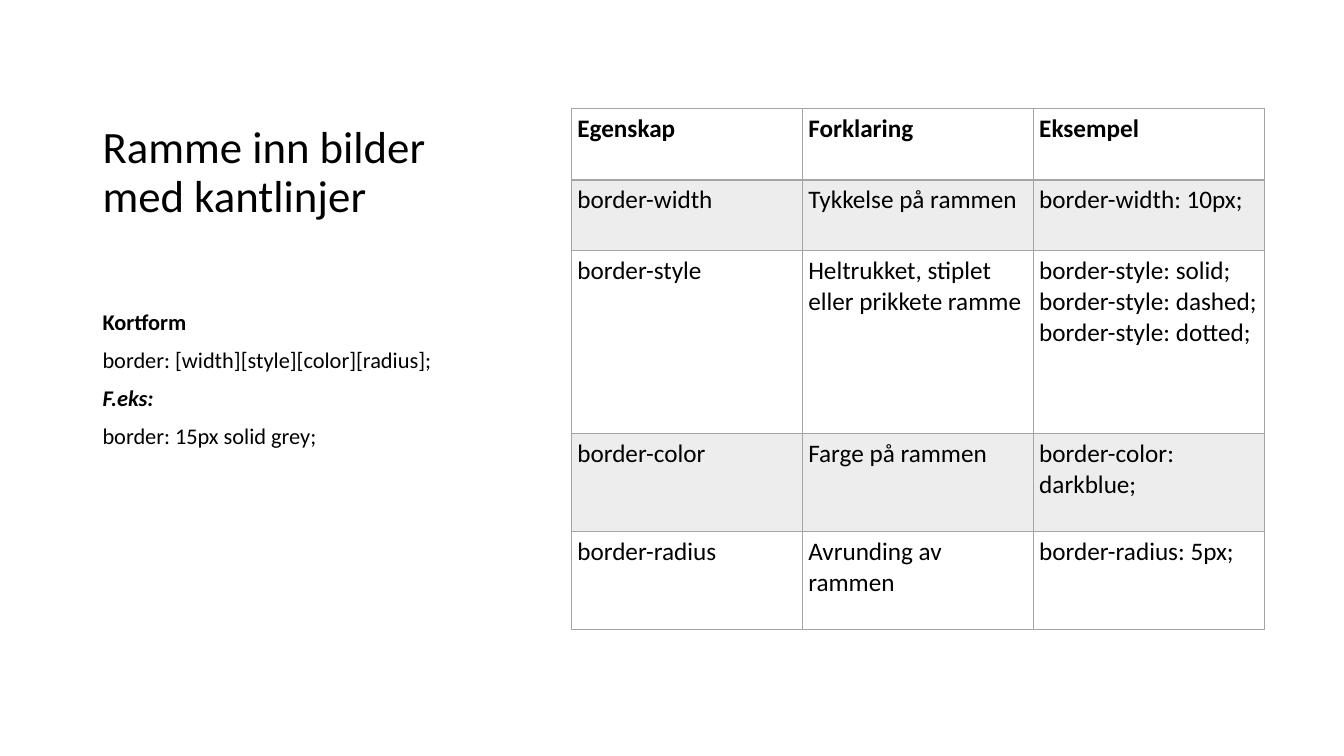
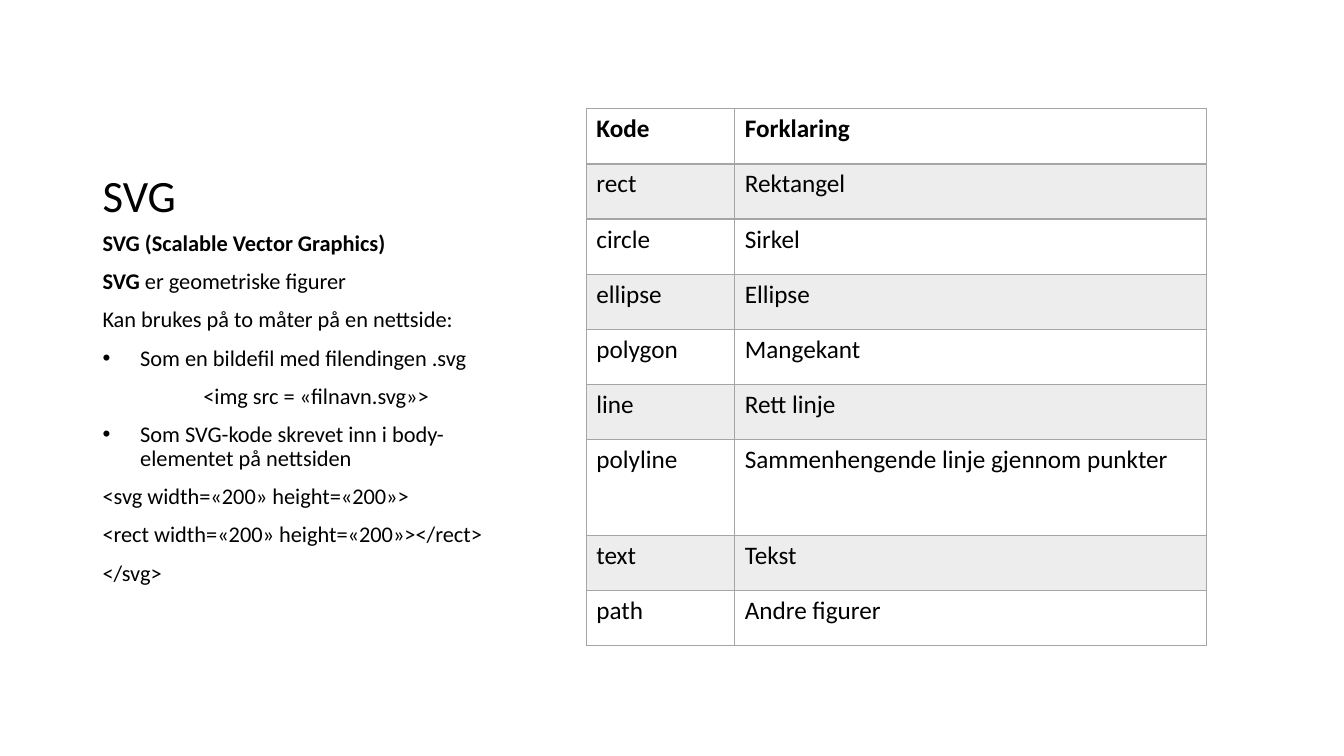
from lxml import etree
from pptx import Presentation
from pptx import util as u
from pptx.dml.color import RGBColor
from pptx.enum import text
from pptx.oxml.ns import qn

FONT = "Calibri"
BLACK, WHITE, GREY, BAND = "000000", "FFFFFF", "A5A5A5", "EDEDED"
TITLE_SIZE, BODY_SIZE, TABLE_SIZE = 32, 16, 18


def colour(value):
    """Turn a hex string into a colour."""
    return RGBColor.from_string(value)


def write(paragraph, runs, size):
    """Add (words, style) runs; the style may hold b for bold and i for italic."""
    for words, style in runs:
        run = paragraph.add_run()
        run.text = words
        run.font.name = FONT
        run.font.size = u.Pt(size)
        run.font.bold = "b" in style
        run.font.italic = "i" in style
        run.font.color.rgb = colour(BLACK)


# Each body paragraph is (kind, runs); line breaks in a cell start a paragraph.
SLIDES = [
    {
        "title": "Ramme inn bilder med kantlinjer",
        "body_width": 10.92,
        "body_inset": 2.12,
        "body": [
            ("plain", [("Kortform", "b")]),
            ("plain", [("border: [width][style][color][radius];", "")]),
            ("plain", [("F.eks:", "bi")]),
            ("plain", [("border: 15px solid grey;", "")]),
        ],
        "table_left": 14.4,
        "cell_inset": 0.15,
        "columns": [5.82, 5.82, 5.82],
        "rows": [1.79, 1.79, 4.6, 2.47, 2.47],
        "cells": [
            ["Egenskap", "Forklaring", "Eksempel"],
            ["border-width", "Tykkelse på rammen", "border-width: 10px;"],
            ["border-style", "Heltrukket, stiplet eller prikkete ramme",
             "border-style: solid;\nborder-style: dashed;\nborder-style: dotted;"],
            ["border-color", "Farge på rammen", "border-color: darkblue;"],
            ["border-radius", "Avrunding av rammen", "border-radius: 5px;"],
        ],
    },
    {
        "title": "SVG",
        "body_width": 11.3,
        "body_inset": 0.13,
        "body": [
            ("plain", [("SVG (Scalable Vector Graphics)", "b")]),
            ("plain", [("SVG", "b"), (" er geometriske figurer", "")]),
            ("plain", [("Kan brukes på to måter på en nettside:", "")]),
            ("bullet", [("Som en bildefil med filendingen .svg", "")]),
            ("indented", [("<img src = «filnavn.svg»>", "")]),
            ("bullet", [("Som SVG-kode skrevet inn i body-elementet på nettsiden", "")]),
            ("plain", [("<svg width=«200» height=«200»>", "")]),
            ("plain", [("<rect width=«200» height=«200»></rect>", "")]),
            ("plain", [("</svg>", "")]),
        ],
        "table_left": 14.78,
        "cell_inset": 0.25,
        "columns": [3.74, 11.88],
        "rows": [1.39] * 6 + [2.42] + [1.39] * 2,
        "cells": [
            ["Kode", "Forklaring"],
            ["rect", "Rektangel"],
            ["circle", "Sirkel"],
            ["ellipse", "Ellipse"],
            ["polygon", "Mangekant"],
            ["line", "Rett linje"],
            ["polyline", "Sammenhengende linje gjennom punkter"],
            ["text", "Tekst"],
            ["path", "Andre figurer"],
        ],
    },
]

# Left margin and first-line indent for each kind of body paragraph
INDENTS = {"plain": (0, 0), "bullet": (0.95, -0.95), "indented": (2.54, 0)}

presentation = Presentation()
presentation.slide_width = u.Cm(33.87)
presentation.slide_height = u.Cm(19.05)
layout = presentation.slide_layouts.get_by_name("Content with Caption")

for content in SLIDES:
    slide = presentation.slides.add_slide(layout)
    title, unused, body = slide.placeholders
    unused.element.getparent().remove(unused.element)

    title.left, title.top = u.Cm(2.33), u.Cm(1.27)
    title.width, title.height = u.Cm(10.92), u.Cm(4.45)
    frame = title.text_frame
    frame.vertical_anchor = text.MSO_ANCHOR.BOTTOM
    frame.auto_size = text.MSO_AUTO_SIZE.NONE
    paragraph = frame.paragraphs[0]
    paragraph.alignment = text.PP_ALIGN.LEFT
    paragraph.line_spacing = 0.9
    write(paragraph, [(content["title"], "")], TITLE_SIZE)

    body.left, body.top = u.Cm(2.33), u.Cm(5.72)
    body.width, body.height = u.Cm(content["body_width"]), u.Cm(10.59)
    frame = body.text_frame
    frame.auto_size = text.MSO_AUTO_SIZE.NONE
    frame.margin_top = u.Cm(content["body_inset"])
    for index, (kind, runs) in enumerate(content["body"]):
        paragraph = frame.add_paragraph() if index else frame.paragraphs[0]
        paragraph.line_spacing = 0.9
        paragraph.space_before = u.Pt(10)
        margin, indent = INDENTS[kind]
        properties = paragraph._p.get_or_add_pPr()
        properties.set("marL", str(u.Cm(margin)))
        properties.set("indent", str(u.Cm(indent)))
        if kind == "bullet":
            etree.SubElement(properties, qn("a:buFont"), typeface="Arial")
            etree.SubElement(properties, qn("a:buChar"), char="•")
        write(paragraph, runs, BODY_SIZE)

    columns, rows = content["columns"], content["rows"]
    table = slide.shapes.add_table(
        len(rows), len(columns), u.Cm(content["table_left"]), u.Cm(2.74),
        u.Cm(sum(columns)), u.Cm(sum(rows))).table
    table.first_row = table.horz_banding = False
    for column, width in zip(table.columns, columns):
        column.width = u.Cm(width)
    for row_index, height in enumerate(rows):
        table.rows[row_index].height = u.Cm(height)
        for column_index, words in enumerate(content["cells"][row_index]):
            cell = table.cell(row_index, column_index)
            cell.margin_left = cell.margin_right = u.Cm(content["cell_inset"])
            thick_side = {0: "lnB", 1: "lnT"}.get(row_index)
            for side in ("lnL", "lnR", "lnT", "lnB"):
                width = u.Pt(2 if side == thick_side else 1)
                line = etree.SubElement(cell._tc.get_or_add_tcPr(), qn("a:" + side), w=str(width))
                fill = etree.SubElement(line, qn("a:solidFill"))
                etree.SubElement(fill, qn("a:srgbClr"), val=GREY)
            cell.fill.solid()
            cell.fill.fore_color.rgb = colour(BAND if row_index % 2 else WHITE)
            for index, part in enumerate(words.split("\n")):
                frame = cell.text_frame
                paragraph = frame.add_paragraph() if index else frame.paragraphs[0]
                write(paragraph, [(part, "" if row_index else "b")], TABLE_SIZE)

presentation.save("out.pptx")
